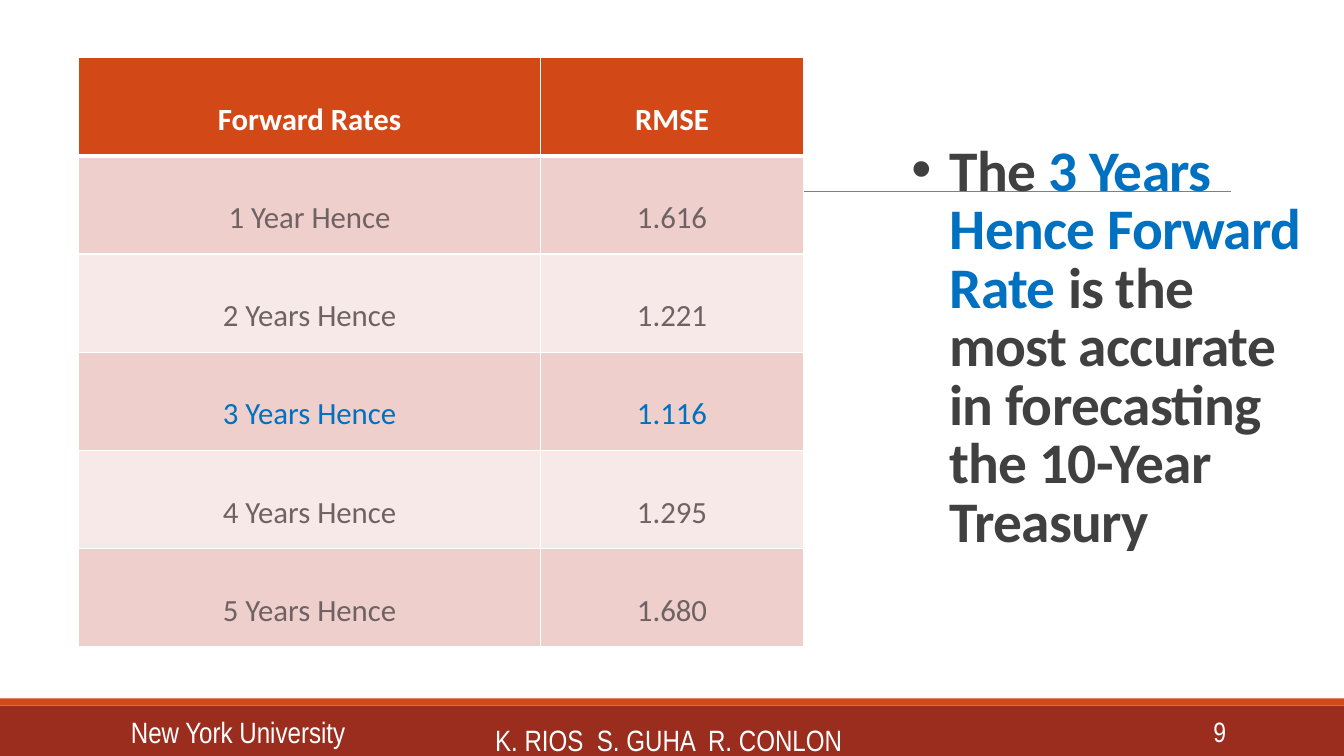
import lxml.etree
import pptx
import pptx.dml.color
import pptx.enum.shapes
import pptx.enum.text
import pptx.oxml.ns
import pptx.util

Inches = pptx.util.Inches
Pt = pptx.util.Pt
ALIGN = pptx.enum.text.PP_ALIGN
ANCHOR = pptx.enum.text.MSO_ANCHOR
qn = pptx.oxml.ns.qn

COLORS = {
    "white": "FFFFFF", "brick": "9B2D1F", "orange": "D34817", "rule": "808080",
    "dark": "404040", "gray": "6E6263", "blue": "0070C0",
    "odd_band": "EFCFCC", "even_band": "F7E9E8",
}
RATES = [
    ("Forward Rates", "RMSE"),
    ("1 Year Hence", "1.616"),
    ("2 Years Hence", "1.221"),
    ("3 Years Hence", "1.116"),
    ("4 Years Hence", "1.295"),
    ("5 Years Hence", "1.680"),
]
BEST_ROW = 3
TABLE_LEFT, TABLE_TOP = 0.78, 0.57
COLUMN_WIDTHS = (4.58, 2.61)
ROW_HEIGHT = 0.975
FINDING = [
    ("The ", "dark"),
    ("3 Years Hence Forward Rate ", "blue"),
    ("is the most accurate in forecasting the 10-Year Treasury", "dark"),
]
FINDING_BOX = (8.94, 0.5, 4.07, 5.93)
FOOTERS = [
    ("New York University", (1.2, 7.06, 2.7, 0.4), ALIGN.LEFT, 21),
    ("K. RIOS  S. GUHA  R. CONLON ", (4.03, 7.14, 5.27, 0.4), ALIGN.CENTER, 21),
    ("9", (10.83, 7.06, 1.43, 0.4), ALIGN.RIGHT, 20),
]
FOOTER_BARS = [((0, 7, 13.33, 0.5), "brick"), ((0, 6.93, 13.33, 0.07), "orange")]


def rgb(name):
    return pptx.dml.color.RGBColor.from_string(COLORS[name])


def add_run(paragraph, text, font, size, color, bold=False):
    run = paragraph.add_run()
    run.text = text
    run.font.name = font
    run.font.size = Pt(size)
    run.font.bold = bold
    run.font.color.rgb = rgb(color)
    return run


def add_text_box(slide, box):
    """Add a wrapping, vertically centred text box and return its first paragraph."""
    frame = slide.shapes.add_textbox(*map(Inches, box)).text_frame
    frame.word_wrap = True
    frame.vertical_anchor = ANCHOR.MIDDLE
    return frame.paragraphs[0]


def add_bar(slide, box, color):
    bar = slide.shapes.add_shape(
        pptx.enum.shapes.MSO_SHAPE.RECTANGLE, *map(Inches, box))
    bar.shadow.inherit = False
    bar.fill.solid()
    bar.fill.fore_color.rgb = rgb(color)
    bar.line.fill.background()


def add_rule(slide):
    rule = slide.shapes.add_connector(
        pptx.enum.shapes.MSO_CONNECTOR.STRAIGHT,
        Inches(1.31), Inches(1.9), Inches(12.21), Inches(1.9))
    rule.line.color.rgb = rgb("rule")
    rule.line.width = Pt(0.5)
    lxml.etree.SubElement(rule._element.spPr, qn("a:effectLst"))


def add_borders(cell, widths):
    properties = cell._tc.get_or_add_tcPr()
    for side, width in widths.items():
        line = lxml.etree.SubElement(
            properties, qn(f"a:ln{side}"), w=str(Pt(width)))
        fill = lxml.etree.SubElement(line, qn("a:solidFill"))
        lxml.etree.SubElement(fill, qn("a:srgbClr"), val=COLORS["white"])


def add_rates_table(slide):
    table = slide.shapes.add_table(
        len(RATES), len(COLUMN_WIDTHS), Inches(TABLE_LEFT), Inches(TABLE_TOP),
        Inches(sum(COLUMN_WIDTHS)), Inches(ROW_HEIGHT * len(RATES))).table
    for column, width in zip(table.columns, COLUMN_WIDTHS):
        column.width = Inches(width)
    for row_index, values in enumerate(RATES):
        table.rows[row_index].height = Inches(ROW_HEIGHT)
        header = row_index == 0
        band = "orange" if header else ("even_band", "odd_band")[row_index % 2]
        color = "white" if header else "blue" if row_index == BEST_ROW else "gray"
        for column_index, value in enumerate(values):
            cell = table.cell(row_index, column_index)
            add_borders(cell, {"L": 1, "R": 1, "T": 3 if row_index == 1 else 1,
                               "B": 3 if header else 1})
            cell.fill.solid()
            cell.fill.fore_color.rgb = rgb(band)
            cell.margin_left = cell.margin_right = Inches(0.12)
            cell.margin_top, cell.margin_bottom = Inches(0.43), Inches(0.06)
            paragraph = cell.text_frame.paragraphs[0]
            paragraph.alignment = ALIGN.CENTER
            add_run(paragraph, value, "Calibri", 22, color, header)


def add_finding(slide):
    paragraph = add_text_box(slide, FINDING_BOX)
    paragraph.line_spacing = 0.85
    properties = paragraph._p.get_or_add_pPr()
    properties.set("marL", str(Inches(0.38)))
    properties.set("indent", str(Inches(-0.38)))
    lxml.etree.SubElement(properties, qn("a:buFont"), typeface="Arial")
    lxml.etree.SubElement(properties, qn("a:buChar"), char="•")
    for text, color in FINDING:
        run = add_run(paragraph, text, "Calibri", 41, color, True)
        run._r.get_or_add_rPr().set("spc", "-50")


def main():
    presentation = pptx.Presentation()
    presentation.slide_width = Inches(13.33)
    presentation.slide_height = Inches(7.5)
    slide = presentation.slides.add_slide(presentation.slide_layouts[6])
    for box, color in FOOTER_BARS:
        add_bar(slide, box, color)
    add_rule(slide)
    add_finding(slide)
    add_rates_table(slide)
    for text, box, alignment, size in FOOTERS:
        paragraph = add_text_box(slide, box)
        paragraph.alignment = alignment
        paragraph.space_after = Pt(6)
        add_run(paragraph, text, "Arial Narrow", size, "white")
    presentation.save("out.pptx")


if __name__ == "__main__":
    main()
